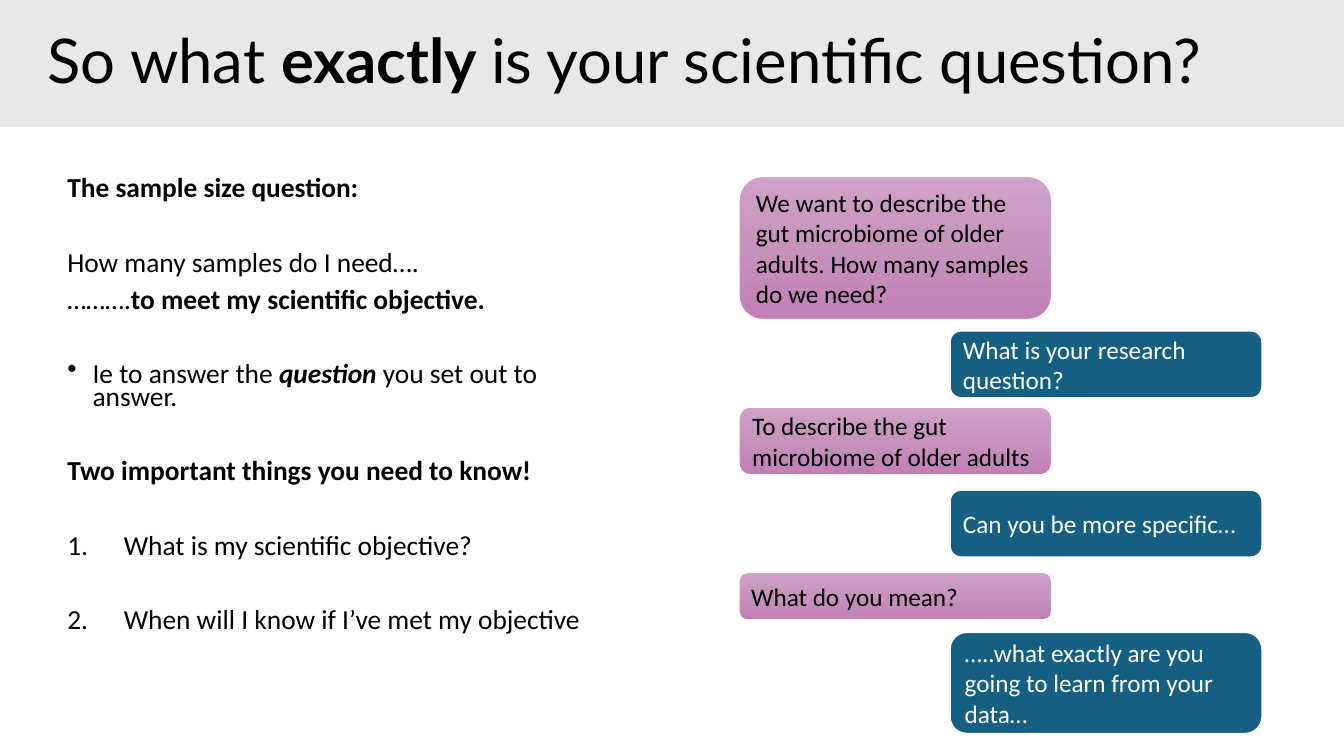
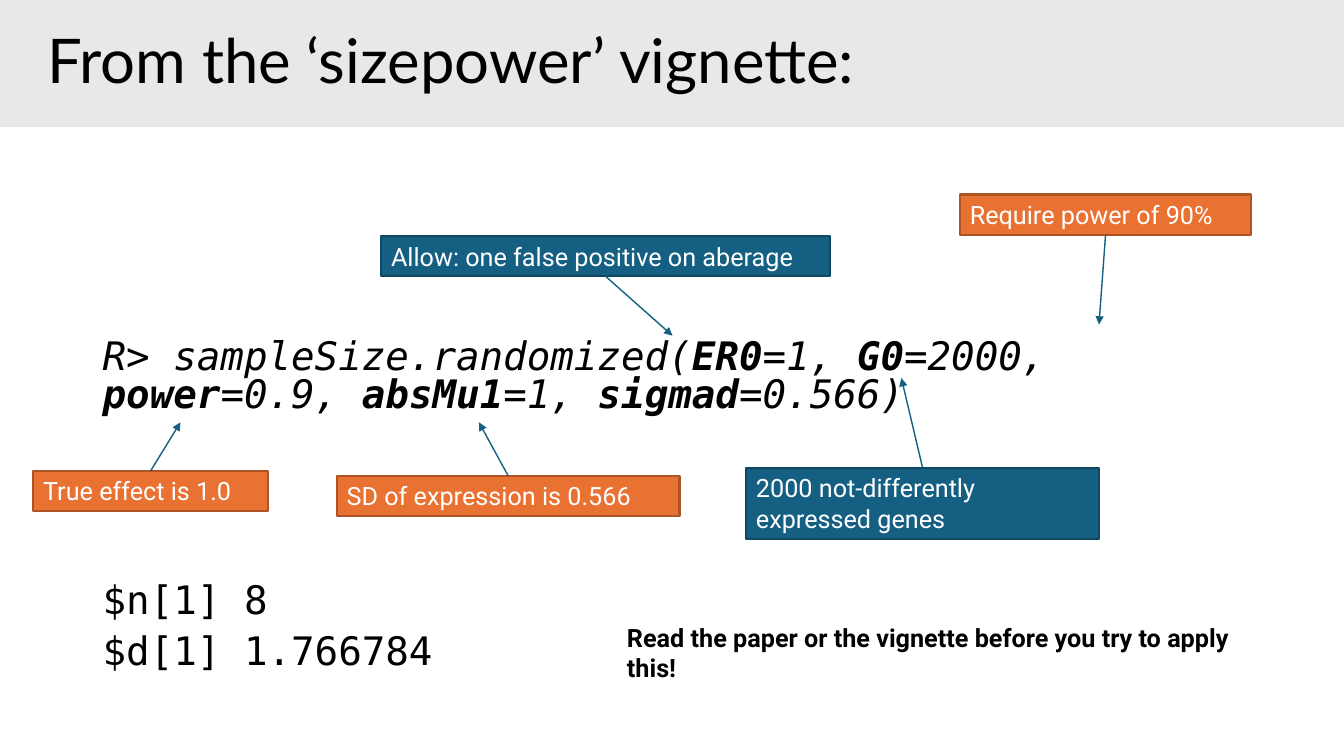
import copy
from dataclasses import dataclass

import pptx
import pptx.util
from lxml import etree
from pptx.dml.color import RGBColor
from pptx.enum.dml import MSO_LINE
from pptx.enum.shapes import MSO_CONNECTOR, MSO_SHAPE
from pptx.enum.text import MSO_ANCHOR, MSO_AUTO_SIZE, PP_ALIGN
from pptx.oxml.ns import qn
from pptx.util import Inches


# Theme
@dataclass(frozen=True)
class Theme:
    black: str = "000000"
    white: str = "FFFFFF"
    band: str = "E8E8E8"
    blue: str = "156082"
    blue_edge: str = "104760"
    orange: str = "E97132"
    orange_edge: str = "AC5425"
    pinks: tuple[str, ...] = ("D0A0C8", "C693BD", "C17FB6")
    title_font: str = "Lato"
    body_font: str = "Calibri"
    code_font: str = "DejaVu Sans Mono"
    label_font: str = "Roboto"
    title_size: float = 44
    body_size: float = 19.6
    code_size: float = 28
    label_size: float = 18


THEME = Theme()
TOP, BOTTOM = 0, 2  # connection sites of a rectangle


# Repeated elements
@dataclass(frozen=True)
class Span:
    text: str
    bold: bool = False
    italic: bool = False


@dataclass(frozen=True)
class Line:
    spans: tuple[Span, ...]
    space_before: float = 10
    indent: float = 0
    bullet: tuple[str, str, str] | None = None  # tag, attribute, value


@dataclass(frozen=True)
class Bubble:
    text: str
    top: float
    height: float
    is_reply: bool


@dataclass(frozen=True)
class Callout:
    text: str
    left: float
    top: float
    width: float
    height: float
    fill: str
    edge: str
    site: int
    target: tuple[float, float]


def color(value: str) -> RGBColor:
    return RGBColor.from_string(value)


def format_run(run, font: str, size: float, value: str, bold: bool = False, italic: bool = False) -> None:
    run.font.name = font
    run.font.size = pptx.util.Pt(size)
    run.font.color.rgb = color(value)
    run.font.bold = bold
    run.font.italic = italic


def add_spans(paragraph, spans: tuple[Span, ...], font: str, size: float) -> None:
    for span in spans:
        run = paragraph.add_run()
        run.text = span.text
        format_run(run, font, size, THEME.black, span.bold, span.italic)


def add_titled_slide(presentation, spans: tuple[Span, ...]):
    slide = presentation.slides.add_slide(presentation.slide_layouts[5])
    title = slide.shapes.title
    title.left, title.top = Inches(0), Inches(0)
    title.width, title.height = presentation.slide_width, Inches(1.26)
    title.fill.solid()
    title.fill.fore_color.rgb = color(THEME.band)
    frame = title.text_frame
    frame.auto_size = MSO_AUTO_SIZE.NONE
    frame.vertical_anchor = MSO_ANCHOR.MIDDLE
    frame.margin_left = Inches(0.47)
    paragraph = frame.paragraphs[0]
    paragraph.alignment = PP_ALIGN.LEFT
    paragraph.line_spacing = 0.9
    add_spans(paragraph, spans, THEME.title_font, THEME.title_size)
    return slide


def add_lines(slide, box: tuple[float, ...], lines: list[Line], font: str, size: float, spacing: float) -> None:
    frame = slide.shapes.add_textbox(*map(Inches, box)).text_frame
    frame.word_wrap = True
    for index, line in enumerate(lines):
        paragraph = frame.add_paragraph() if index else frame.paragraphs[0]
        paragraph.line_spacing = spacing
        paragraph.space_before = pptx.util.Pt(line.space_before)
        if line.bullet:
            tag, attribute, value = line.bullet
            properties = paragraph._p.get_or_add_pPr()
            properties.set("marL", str(Inches(line.indent)))
            properties.set("indent", str(-Inches(line.indent)))
            etree.SubElement(properties, qn(tag)).set(attribute, value)
        add_spans(paragraph, line.spans, font, size)


def add_filled_shape(slide, kind, box: tuple[float, ...], text: str, font: str, text_color: str):
    shape = slide.shapes.add_shape(kind, *map(Inches, box))
    shape.shadow.inherit = False
    frame = shape.text_frame
    frame.word_wrap = True
    frame.text = text
    paragraph = frame.paragraphs[0]
    paragraph.alignment = PP_ALIGN.LEFT
    format_run(paragraph.runs[0], font, THEME.label_size, text_color)
    return shape


def set_line(line, value: str, width: float) -> None:
    line.color.rgb = color(value)
    line.width = pptx.util.Pt(width)
    line.dash_style = MSO_LINE.SOLID


def fill_pink(shape) -> None:
    shape.fill.gradient()
    shape.fill.gradient_angle = 270
    first_stop = shape._element.spPr.find(".//" + qn("a:gs"))
    first_stop.addnext(copy.deepcopy(first_stop))
    for stop, position, value in zip(shape.fill.gradient_stops, (0, 0.5, 1), THEME.pinks):
        stop.position = position
        stop.color.rgb = color(value)


def add_bubble(slide, bubble: Bubble) -> None:
    left = 9.42 if bubble.is_reply else 7.33
    text_color = THEME.white if bubble.is_reply else THEME.black
    shape = add_filled_shape(slide, MSO_SHAPE.ROUNDED_RECTANGLE, (left, bubble.top, 3.1, bubble.height),
                             bubble.text, THEME.body_font, text_color)
    shape.text_frame.vertical_anchor = MSO_ANCHOR.MIDDLE
    if bubble.is_reply:
        shape.fill.solid()
        shape.fill.fore_color.rgb = color(THEME.blue)
    else:
        fill_pink(shape)
    set_line(shape.line, THEME.white, 1.5 if bubble.is_reply else 1)


def add_callout(slide, callout: Callout) -> None:
    box = (callout.left, callout.top, callout.width, callout.height)
    shape = add_filled_shape(slide, MSO_SHAPE.RECTANGLE, box, callout.text, THEME.label_font, THEME.white)
    shape.text_frame.vertical_anchor = MSO_ANCHOR.TOP
    shape.fill.solid()
    shape.fill.fore_color.rgb = color(callout.fill)
    set_line(shape.line, callout.edge, 1.5)

    target_x, target_y = map(Inches, callout.target)
    arrow = slide.shapes.add_connector(MSO_CONNECTOR.STRAIGHT, shape.left, shape.top, target_x, target_y)
    arrow.begin_connect(shape, callout.site)
    set_line(arrow.line, THEME.blue, 1)
    etree.SubElement(arrow.line._get_or_add_ln(), qn("a:tailEnd")).set("type", "triangle")
    etree.SubElement(arrow._element.spPr, qn("a:effectLst"))


# Slide 1: the scientific question
def build_question_slide(presentation) -> None:
    slide = add_titled_slide(presentation, (
        Span("So what "), Span("exactly ", bold=True), Span("is your scientific question?")))
    gap = 36.7
    number = ("a:buAutoNum", "type", "arabicPeriod")
    add_lines(slide, (0.57, 1.73, 5.43, 5.1), [
        Line((Span("The sample size question:", bold=True),), 0),
        Line((Span("How many samples do I need…."),), gap),
        Line((Span("………."), Span("to meet my scientific objective.", bold=True))),
        Line((Span("Ie to answer the "), Span("question", bold=True, italic=True),
              Span(" you set out to answer.")), gap, 0.25, ("a:buChar", "char", "•")),
        Line((Span("Two important things you need to know!", bold=True),), gap),
        Line((Span("What is my scientific objective?"),), gap, 0.56, number),
        Line((Span("When will I know if I’ve met my objective"),), gap, 0.56, number),
    ], THEME.body_font, THEME.body_size, 0.7)

    for bubble in (
        Bubble("We want to describe the gut microbiome of older adults. How many samples do we need?",
               1.75, 1.42, False),
        Bubble("What is your research question?", 3.28, 0.67, True),
        Bubble("To describe the gut microbiome of older adults", 4.04, 0.67, False),
        Bubble("Can you be more specific…", 4.86, 0.67, True),
        Bubble("What do you mean?", 5.68, 0.47, False),
        Bubble("…..what exactly are you going to learn from your data…", 6.27, 1.01, True),
    ):
        add_bubble(slide, bubble)


# Slide 2: the annotated command
def build_vignette_slide(presentation) -> None:
    slide = add_titled_slide(presentation, (Span("From the ‘sizepower’ vignette:"),))
    command = ("R> sampleSize.randomized(", "ER0", "=1, ", "G0", "=2000, ", "power", "=0.9, ",
               "absMu1", "=1, ", "sigmad", "=0.566)")
    add_lines(slide, (0.92, 3.33, 11.5, 3.53), [
        Line(tuple(Span(text, bold=index % 2 == 1, italic=True) for index, text in enumerate(command)), 0),
        Line((Span("$n[1] 8"),), 120),
        Line((Span("$d[1] 1.766784"),)),
    ], THEME.code_font, THEME.code_size, 0.8)

    blue = (THEME.blue, THEME.blue_edge)
    orange = (THEME.orange, THEME.orange_edge)
    for callout in (
        Callout("Allow: one false positive on aberage", 3.78, 2.34, 4.45, 0.4, *blue, BOTTOM, (6.67, 3.33)),
        Callout("2000 not-differently expressed genes", 7.4, 4.64, 3.5, 0.71, *blue, TOP, (8.94, 3.75)),
        Callout("Require power of 90%", 9.52, 1.93, 2.89, 0.4, *orange, BOTTOM, (10.9, 3.22)),
        Callout("True effect is 1.0", 0.33, 4.67, 2.33, 0.4, *orange, TOP, (1.79, 4.19)),
        Callout("SD of expression is 0.566", 3.34, 4.72, 3.4, 0.4, *orange, TOP, (4.75, 4.19)),
    ):
        add_callout(slide, callout)

    advice = Span("Read the paper or the vignette before you try to apply this!", bold=True)
    add_lines(slide, (6.12, 6.12, 6.38, 0.71), [Line((advice,), 0)], THEME.label_font, THEME.label_size, 1.0)


def main() -> None:
    presentation = pptx.Presentation()
    presentation.slide_width = Inches(13.33)
    presentation.slide_height = Inches(7.5)
    build_question_slide(presentation)
    build_vignette_slide(presentation)
    presentation.save("out.pptx")


if __name__ == "__main__":
    main()
